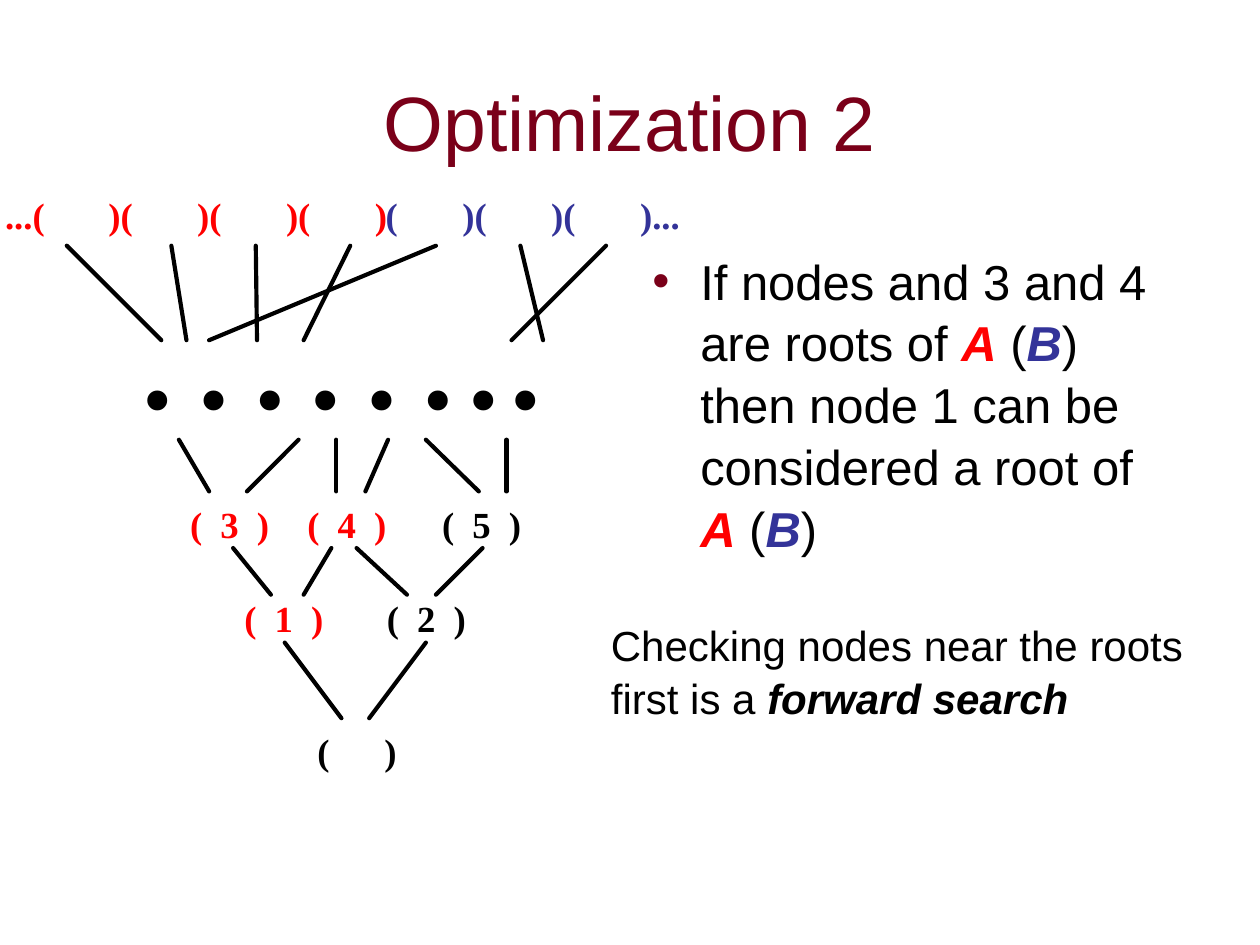
from lxml.etree import SubElement
from pptx import Presentation
from pptx.dml.color import RGBColor
from pptx.enum.shapes import MSO_CONNECTOR
from pptx.enum.text import MSO_ANCHOR, PP_ALIGN
from pptx.oxml.ns import qn
from pptx.util import Inches, Pt

BLACK, RED, BLUE, MAROON = "000000", "FF0000", "333399", "7A0019"
SANS, SERIF = "Arial", "Times New Roman"

TITLE = [("Optimization 2", MAROON, "")]
ROOT_A, ROOT_B = ("A", RED, "bi"), ("B", BLUE, "bi")
BODY = [
    ("If nodes and 3 and 4 are roots of ", BLACK, ""), ROOT_A, (" (", BLACK, ""), ROOT_B,
    (") then node 1 can be considered a root of ", BLACK, ""), ROOT_A, (" (", BLACK, ""),
    ROOT_B, (")", BLACK, ""),
]
NOTE = [("Checking nodes near the roots first is a ", BLACK, ""),
        ("forward search", BLACK, "bi")]

LEAF_PERIOD = 0.705
LEAVES = [
    ("...(\t)(\t)(\t)(\t)", RED, 0.04, 0.82, 4),
    ("(\t)(\t)(\t)...", BLUE, 3.06, 0.61, 3),
]
NODE_TABS = [0.24, 0.53]
NODES = [
    ("3", RED, 1.51, 3.98), ("4", RED, 2.44, 3.98), ("5", BLACK, 3.51, 3.98),
    ("1", RED, 1.94, 4.73), ("2", BLACK, 3.07, 4.73),
]
DOTS = [("……", 1.03, 2.67), ("..", 3.67, 0.67)]

EDGE_ROWS = [
    (1.95, 2.70, [(0.53, 1.28), (1.36, 1.48), (2.03, 2.04), (2.78, 2.41),
                  (3.46, 1.66), (4.13, 4.31), (4.81, 4.06)]),
    (3.49, 3.90, [(1.42, 1.66), (2.37, 1.96), (2.67, 2.67), (3.08, 2.90),
                  (3.38, 3.80), (4.02, 4.02)]),
    (4.35, 4.72, [(1.85, 2.15), (2.63, 2.41), (2.83, 3.23), (3.83, 3.46)]),
    (5.10, 5.70, [(2.26, 2.71), (3.38, 2.93)]),
]


def rgb(color):
    return RGBColor.from_string(color)


def add_text(runs, box, size, font, inset=(0, 0), tabs=(), wrap=True):
    tf = slide.shapes.add_textbox(*map(Inches, box)).text_frame
    tf.word_wrap = wrap
    tf.margin_left = tf.margin_right = Inches(inset[0])
    tf.margin_top = tf.margin_bottom = Inches(inset[1])
    p = tf.paragraphs[0]
    if tabs:
        tab_list = SubElement(p._p.get_or_add_pPr(), qn("a:tabLst"))
        for pos in tabs:
            SubElement(tab_list, qn("a:tab"), pos=str(Inches(pos)), algn="l")
    for text, color, style in runs:
        r = p.add_run()
        r.text = text
        r.font.size, r.font.name = Pt(size), font
        r.font.bold, r.font.italic = "b" in style, "i" in style
        r.font.color.rgb = rgb(color)
    return tf


def add_bullet(p, char, color, indent):
    pPr = p._p.get_or_add_pPr()
    pPr.set("marL", str(Inches(indent)))
    pPr.set("indent", str(-Inches(indent)))
    clr = SubElement(pPr, qn("a:buClr"))
    SubElement(clr, qn("a:srgbClr"), val=color)
    SubElement(pPr, qn("a:buFont"), typeface=SANS)
    SubElement(pPr, qn("a:buChar"), char=char)


def add_edge(x1, y1, x2, y2):
    line = slide.shapes.add_connector(
        MSO_CONNECTOR.STRAIGHT, *map(Inches, (x1, y1, x2, y2)))
    line.line.color.rgb = rgb(BLACK)
    line.line.width = Pt(2.38)
    line.line._ln.set("cap", "rnd")
    SubElement(line._element.spPr, qn("a:effectLst"))


prs = Presentation()
prs.slide_width, prs.slide_height = Inches(10), Inches(7.5)
slide = prs.slides.add_slide(prs.slide_layouts[6])

inset = (0.1, 0.05)
tf = add_text(TITLE, (0.75, 0.33, 8.5, 1.25), 44, SANS, inset)
tf.vertical_anchor = MSO_ANCHOR.MIDDLE
tf.paragraphs[0].alignment = PP_ALIGN.CENTER

tf = add_text(BODY, (5.08, 1.92, 4.17, 4.33), 28, SANS, inset)
add_bullet(tf.paragraphs[0], "•", MAROON, 0.38)
tf.paragraphs[0].line_spacing = 1.05

tf = add_text(NOTE, (4.75, 4.85, 4.75, 0.9), 24, SANS, inset)
tf.paragraphs[0].line_spacing = 1.05

for text, color, x, first, count in LEAVES:
    tabs = [first + LEAF_PERIOD * i for i in range(count)]
    add_text([(text, color, "b")], (x, 1.53, tabs[-1] + 0.5, 0.35), 21, SERIF, tabs=tabs)

for name, color, x, y in NODES:
    add_text([(f"(\t{name}\t)", color, "b")], (x, y, 0.7, 0.35), 21, SERIF, tabs=NODE_TABS)
add_text([("(\t)", BLACK, "b")], (2.52, 5.78, 0.7, 0.35), 21, SERIF, tabs=NODE_TABS[1:])

for text, x, width in DOTS:
    add_text([(text, BLACK, "")], (x, 1.91, width, 1.6), 96, SERIF, wrap=False)

for top, bottom, edges in EDGE_ROWS:
    for x1, x2 in edges:
        add_edge(x1, top, x2, bottom)

prs.save("out.pptx")
